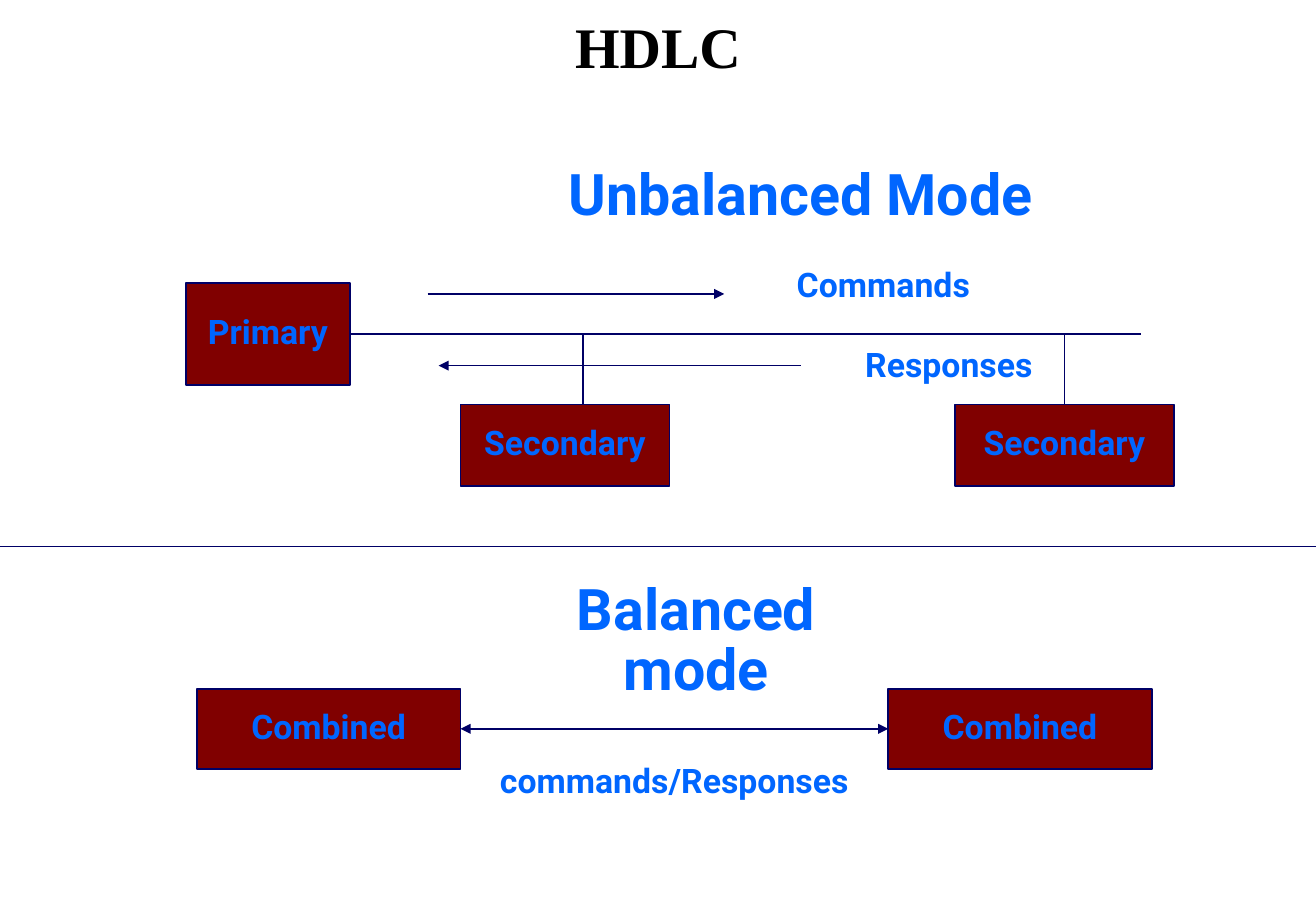
import dataclasses
import typing

import lxml.etree
import pptx
import pptx.dml.color
import pptx.enum.shapes
import pptx.enum.text
import pptx.oxml.ns
import pptx.util

SCALE = 9144
WIDE, HIGH = 1083, 750
NAVY, MAROON, BLUE, BLACK = "000066", "800000", "0066FF", "000000"
TOP, LEFT, RIGHT = 0, 1, 3


@dataclasses.dataclass
class Box:
    key: str
    text: str
    x: int
    y: int
    w: int
    h: int


@dataclasses.dataclass
class Label:
    text: str
    x: int
    y: int
    w: int
    h: int
    size: int = 20


@dataclasses.dataclass
class Line:
    x1: int
    y1: int
    x2: int
    y2: int
    width: float = 1
    heads: tuple[str, ...] = ()
    start: typing.Optional[tuple[str, int]] = None
    end: typing.Optional[tuple[str, int]] = None


BOXES = [
    Box("primary", "Primary", 153, 233, 135, 84),
    Box("near", "Secondary", 379, 333, 172, 67),
    Box("far", "Secondary", 786, 333, 180, 67),
    Box("left", "Combined", 162, 567, 217, 66),
    Box("right", "Combined", 731, 567, 217, 66),
]
LABELS = [
    Label("Commands", 623, 217, 208, 39),
    Label("Responses", 668, 283, 226, 39),
    Label("commands/Responses", 388, 625, 334, 39),
    Label("Unbalanced Mode", 397, 133, 524, 60, 34),
    Label("Balanced mode", 433, 475, 280, 110, 34),
]
LINES = [
    Line(288, 275, 939, 275, start=("primary", RIGHT)),
    Line(480, 275, 480, 333),
    Line(876, 275, 876, 333, end=("far", TOP)),
    Line(352, 242, 596, 242, heads=("tailEnd",)),
    Line(659, 301, 361, 301, heads=("tailEnd",)),
    Line(379, 600, 731, 600, heads=("headEnd", "tailEnd"),
         start=("left", RIGHT), end=("right", LEFT)),
    Line(0, 450, WIDE, 450, width=0.75),
]


def px(count: int) -> pptx.util.Emu:
    return pptx.util.Emu(count * SCALE)


def tint(code: str) -> pptx.dml.color.RGBColor:
    return pptx.dml.color.RGBColor.from_string(code)


def write(shape, text: str, size: int, font: str = "Roboto", color: str = BLUE,
          middle: bool = True) -> None:
    frame = shape.text_frame
    frame.text = text
    frame.word_wrap = True
    frame.auto_size = pptx.enum.text.MSO_AUTO_SIZE.NONE
    anchor = pptx.enum.text.MSO_ANCHOR
    frame.vertical_anchor = anchor.MIDDLE if middle else anchor.TOP
    for para in frame.paragraphs:
        para.alignment = pptx.enum.text.PP_ALIGN.CENTER
        para.line_spacing = 0.87
        for run in para.runs:
            run.font.name = font
            run.font.size = pptx.util.Pt(size)
            run.font.bold = True
            run.font.color.rgb = tint(color)


def draw_title(slide) -> None:
    title = slide.shapes.title
    title.left, title.top, title.width, title.height = map(px, (0, 0, WIDE, 83))
    write(title, "HDLC", 34, "Times New Roman", BLACK)
    frame = title.text_frame
    frame.margin_left = frame.margin_right = 0
    frame.margin_top = frame.margin_bottom = 0


def draw_box(slide, box: Box):
    shape = slide.shapes.add_shape(
        pptx.enum.shapes.MSO_SHAPE.RECTANGLE,
        px(box.x), px(box.y), px(box.w), px(box.h))
    shape.shadow.inherit = False
    shape.fill.solid()
    shape.fill.fore_color.rgb = tint(MAROON)
    shape.line.color.rgb = tint(NAVY)
    shape.line.width = pptx.util.Pt(1)
    write(shape, box.text, 20)
    return shape


def draw_label(slide, label: Label) -> None:
    shape = slide.shapes.add_textbox(
        px(label.x), px(label.y), px(label.w), px(label.h))
    write(shape, label.text, label.size, middle=False)


def draw_line(slide, line: Line, boxes: dict) -> None:
    link = slide.shapes.add_connector(
        pptx.enum.shapes.MSO_CONNECTOR.STRAIGHT,
        px(line.x1), px(line.y1), px(line.x2), px(line.y2))
    if line.start:
        link.begin_connect(boxes[line.start[0]], line.start[1])
    if line.end:
        link.end_connect(boxes[line.end[0]], line.end[1])
    link.line.color.rgb = tint(NAVY)
    link.line.width = pptx.util.Pt(line.width)
    props = link._element.spPr
    stroke = props.find(pptx.oxml.ns.qn("a:ln"))
    for head in line.heads:
        lxml.etree.SubElement(
            stroke, pptx.oxml.ns.qn(f"a:{head}"), type="triangle")
    lxml.etree.SubElement(props, pptx.oxml.ns.qn("a:effectLst"))


def main() -> None:
    deck = pptx.Presentation()
    deck.slide_width, deck.slide_height = px(WIDE), px(HIGH)
    slide = deck.slides.add_slide(deck.slide_layouts[5])
    draw_title(slide)
    boxes = {box.key: draw_box(slide, box) for box in BOXES}
    for line in LINES:
        draw_line(slide, line, boxes)
    for label in LABELS:
        draw_label(slide, label)
    deck.save("out.pptx")


if __name__ == "__main__":
    main()
